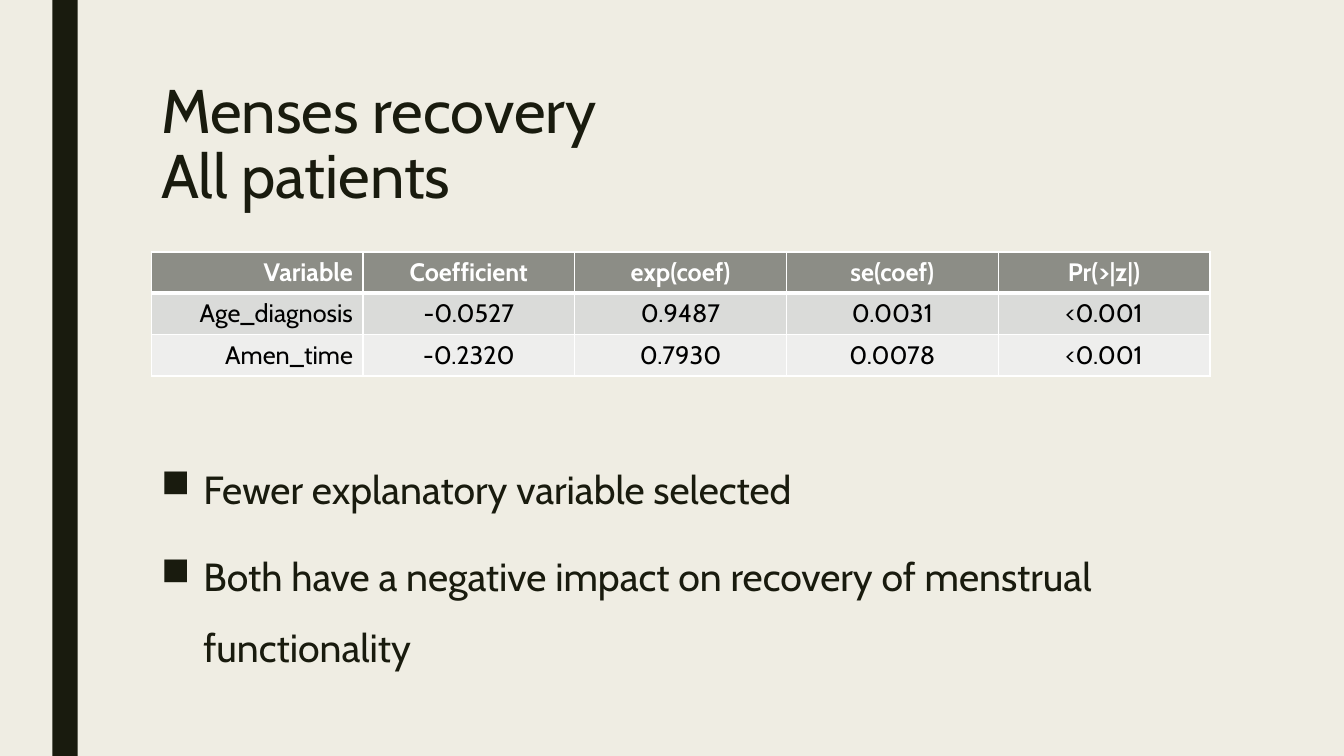
"""Build the menses recovery slide: side bar, title, coefficient table and findings."""
from dataclasses import dataclass

import lxml.etree
import pptx
import pptx.dml.color
import pptx.enum.shapes
import pptx.enum.text
import pptx.oxml.ns
import pptx.util

SLIDE_WIDTH = pptx.util.Inches(13.33)
SLIDE_HEIGHT = pptx.util.Inches(7.5)
COLUMN = pptx.util.Inches(0.5)
ROW = pptx.util.Inches(0.25)
TABLE_ROW_HEIGHT = pptx.util.Inches(0.41)
BULLET_INDENT = pptx.util.Inches(0.42)
FONT = "Cabin"
COLORS = {
    "background": "EFEDE3",
    "ink": "191B0E",
    "header": "8C8D86",
    "odd": "DADBD9",
    "even": "EEEEED",
    "white": "FFFFFF",
    "black": "000000",
}
ALIGN = pptx.enum.text.PP_ALIGN


@dataclass(frozen=True)
class Area:
    column: float
    row: float
    columns: float
    rows: float

    def box(self) -> tuple[int, int, int, int]:
        return (int(self.column * COLUMN), int(self.row * ROW),
                int(self.columns * COLUMN), int(self.rows * ROW))


@dataclass(frozen=True)
class RowStyle:
    fill: str
    text: str
    bold: bool
    top: int
    bottom: int


@dataclass(frozen=True)
class TableRow:
    values: tuple[str, ...]
    style: RowStyle


BAR = Area(1.04, 0, 0.5, 30)
TITLE = Area(3, 3, 21, 6.48)
TABLE = Area(3, 10, 21, 4.92)
FINDINGS = Area(3, 17.32, 21, 9.68)
HEADER_STYLE = RowStyle("header", "white", True, 1, 3)
ODD_STYLE = RowStyle("odd", "black", False, 3, 1)
EVEN_STYLE = RowStyle("even", "black", False, 1, 1)
TABLE_ROWS = (
    TableRow(("Variable", "Coefficient", "exp(coef)", "se(coef)", "Pr(>|z|)"), HEADER_STYLE),
    TableRow(("Age_diagnosis", "-0.0527", "0.9487", "0.0031", "<0.001"), ODD_STYLE),
    TableRow(("Amen_time", "-0.2320", "0.7930", "0.0078", "<0.001"), EVEN_STYLE),
)
FINDING_TEXTS = (
    "Fewer explanatory variable selected",
    "Both have a negative impact on recovery of menstrual functionality",
)


def color(name: str) -> pptx.dml.color.RGBColor:
    return pptx.dml.color.RGBColor.from_string(COLORS[name])


def add_child(parent, tag: str, **attributes: str):
    return lxml.etree.SubElement(parent, pptx.oxml.ns.qn(tag), attributes)


def style_font(paragraph, size: int, color_name: str, bold: bool = False) -> None:
    font = paragraph.font
    font.name = FONT
    font.size = pptx.util.Pt(size)
    font.bold = bold
    font.color.rgb = color(color_name)


def add_bar(slide) -> None:
    bar = slide.shapes.add_shape(pptx.enum.shapes.MSO_SHAPE.RECTANGLE, *BAR.box())
    bar.shadow.inherit = False
    bar.fill.solid()
    bar.fill.fore_color.rgb = color("ink")
    bar.line.fill.background()


def add_text(slide, area: Area, texts: tuple[str, ...], size: int, spacing: float) -> list:
    frame = slide.shapes.add_textbox(*area.box()).text_frame
    frame.word_wrap = True
    for index, text in enumerate(texts):
        paragraph = frame.add_paragraph() if index else frame.paragraphs[0]
        paragraph.text = text
        paragraph.line_spacing = spacing
        style_font(paragraph, size, "ink")
    return list(frame.paragraphs)


def add_bullet(paragraph) -> None:
    paragraph.space_before = pptx.util.Pt(10)
    paragraph.space_after = pptx.util.Pt(2)
    properties = paragraph._p.get_or_add_pPr()
    properties.set("marL", str(BULLET_INDENT))
    properties.set("indent", str(-BULLET_INDENT))
    bullet = lxml.etree.Element(pptx.oxml.ns.qn("a:buChar"), char="■")
    properties.find(pptx.oxml.ns.qn("a:defRPr")).addprevious(bullet)


def add_borders(cell, style: RowStyle) -> None:
    properties = cell._tc.get_or_add_tcPr()
    widths = {"a:lnL": 1, "a:lnR": 1, "a:lnT": style.top, "a:lnB": style.bottom}
    for tag, width in widths.items():
        line = add_child(properties, tag, w=str(pptx.util.Pt(width)))
        add_child(add_child(line, "a:solidFill"), "a:srgbClr", val=COLORS["white"])


def fill_cell(cell, text: str, style: RowStyle, alignment: ALIGN) -> None:
    add_borders(cell, style)
    cell.fill.solid()
    cell.fill.fore_color.rgb = color(style.fill)
    cell.vertical_anchor = pptx.enum.text.MSO_ANCHOR.MIDDLE
    paragraph = cell.text_frame.paragraphs[0]
    paragraph.text = text
    paragraph.alignment = alignment
    style_font(paragraph, 18, style.text, style.bold)


def add_coefficients(slide) -> None:
    column_count = len(TABLE_ROWS[0].values)
    table = slide.shapes.add_table(len(TABLE_ROWS), column_count, *TABLE.box()).table
    for row_index, row in enumerate(TABLE_ROWS):
        table.rows[row_index].height = TABLE_ROW_HEIGHT
        for column_index, text in enumerate(row.values):
            alignment = ALIGN.CENTER if column_index else ALIGN.RIGHT
            fill_cell(table.cell(row_index, column_index), text, row.style, alignment)


def main() -> None:
    presentation = pptx.Presentation()
    presentation.slide_width = SLIDE_WIDTH
    presentation.slide_height = SLIDE_HEIGHT
    slide = presentation.slides.add_slide(presentation.slide_layouts[6])
    slide.background.fill.solid()
    slide.background.fill.fore_color.rgb = color("background")
    add_bar(slide)
    add_text(slide, TITLE, ("Menses recovery\vAll patients",), 44, 0.89)
    add_coefficients(slide)
    for paragraph in add_text(slide, FINDINGS, FINDING_TEXTS, 28, 1.5):
        add_bullet(paragraph)
    presentation.save("out.pptx")


if __name__ == "__main__":
    main()
